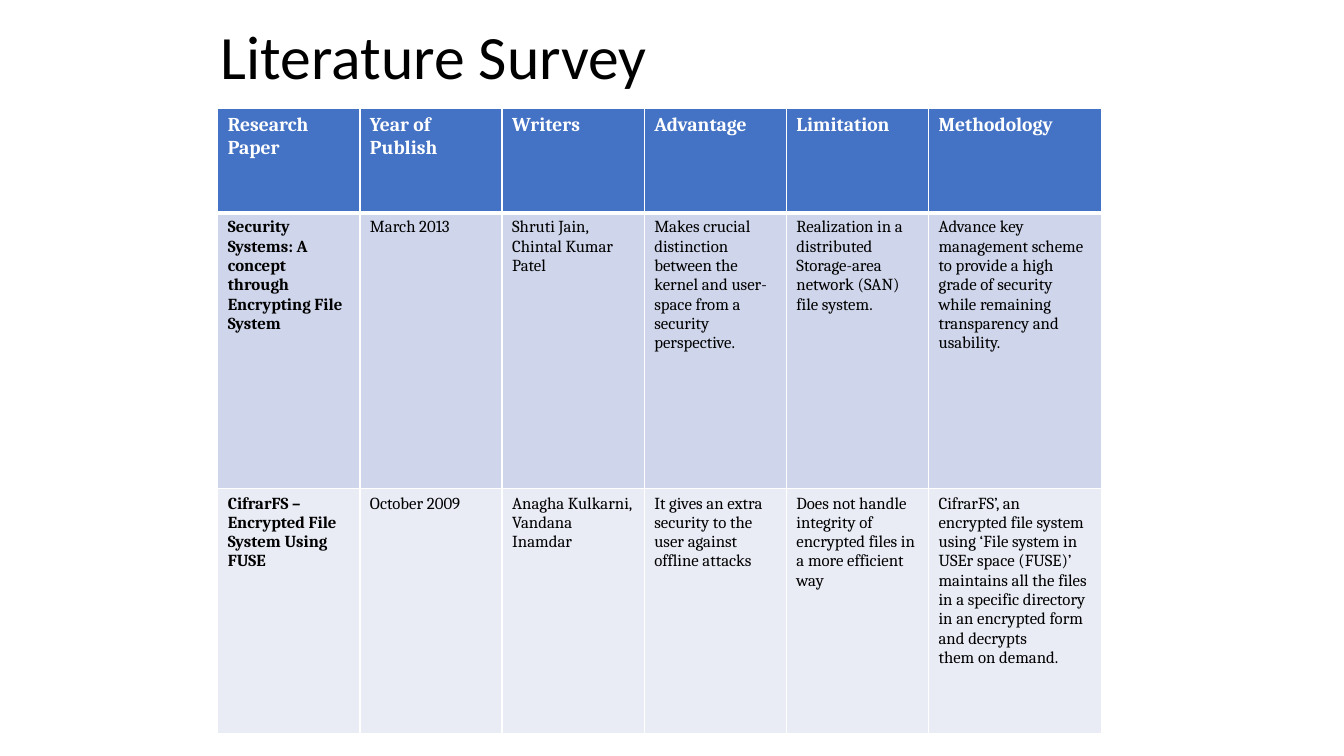
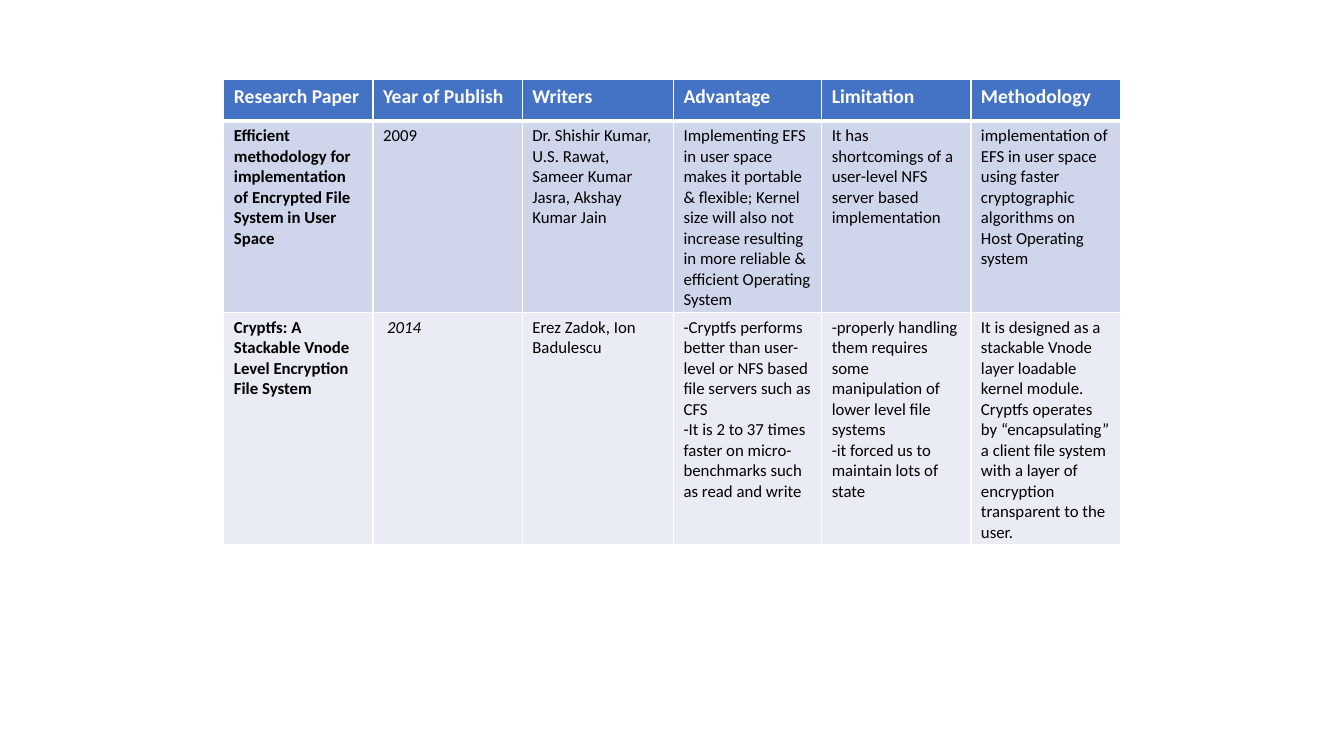
from lxml import etree
from pptx import Presentation
from pptx.dml.color import RGBColor
from pptx.enum.text import MSO_ANCHOR, MSO_AUTO_SIZE, PP_ALIGN
from pptx.oxml.ns import qn
from pptx.util import Inches, Pt

# Shared look
WHITE = RGBColor(0xFF, 0xFF, 0xFF)
BLACK = RGBColor(0x00, 0x00, 0x00)
HEADER_BLUE = RGBColor(0x44, 0x72, 0xC4)
BAND_FILLS = (RGBColor(0xCF, 0xD5, 0xEA), RGBColor(0xE9, 0xEB, 0xF5))
SANS_FONT, SERIF_FONT = "Calibri", "Cambria"

CENTER = PP_ALIGN.CENTER
TOP = MSO_ANCHOR.TOP
GROW_TO_TEXT = MSO_AUTO_SIZE.SHAPE_TO_FIT_TEXT
TITLE_ONLY, BLANK = 5, 6

HEADER_FORMAT = {"size": Pt(14), "bold": True}
PAPER_FORMAT = {"size": Pt(12), "bold": True}
BODY_FORMAT = {"size": Pt(12), "bold": False}
THIN, THICK = Pt(1), Pt(3)

# Table content: a line break starts a new paragraph
HEADINGS = ("Research Paper", "Year of Publish", "Writers",
            "Advantage", "Limitation", "Methodology")
FIRST_PAPERS = (
    ("Security Systems: A concept through Encrypting File System",
     "March 2013",
     "Shruti Jain, Chintal Kumar Patel",
     "Makes crucial distinction between the kernel and user- space "
     "from a security perspective.",
     "Realization in a distributed Storage-area network (SAN) file system.",
     "Advance key management scheme to provide a high grade of security "
     "while remaining transparency and usability."),
    ("CifrarFS – Encrypted File System Using FUSE",
     "October 2009",
     "Anagha Kulkarni, Vandana Inamdar",
     "It gives an extra security to the\nuser against offline attacks",
     "Does not handle integrity of encrypted files in a more efficient way",
     "CifrarFS’, an encrypted file system using ‘File system in USEr space "
     "(FUSE)’\nmaintains all the files in a specific directory in an "
     "encrypted form and decrypts\nthem on demand."),
)
SECOND_PAPERS = (
    ("Efficient methodology for implementation of Encrypted File System "
     "in User Space",
     "2009",
     "Dr. Shishir Kumar, U.S. Rawat, Sameer Kumar Jasra, Akshay Kumar Jain",
     "Implementing EFS in user space makes it portable & flexible; Kernel "
     "size will also not increase resulting in more reliable & efficient "
     "Operating System",
     "It has shortcomings of a user-level NFS server based implementation",
     "implementation of EFS in user space using faster cryptographic "
     "algorithms on Host Operating system"),
    ("Cryptfs: A Stackable Vnode Level Encryption File System",
     "2014",
     "Erez Zadok, Ion Badulescu",
     "-Cryptfs performs better than user-level or NFS based file servers "
     "such as CFS\n-It is 2 to 37 times faster on micro-benchmarks such as "
     "read and write",
     "-properly handling them requires some manipulation of lower level "
     "file systems\n-it forced us to maintain lots of state",
     "It is designed as a stackable Vnode layer loadable kernel module. "
     "Cryptfs operates by “encapsulating” a client file system with a layer "
     "of encryption transparent to the user."),
)


def format_text(text_frame, font_name, color, formats):
    for paragraph in text_frame.paragraphs:
        for run in paragraph.runs:
            run.font.name = font_name
            run.font.color.rgb = color
            for name, value in formats.items():
                setattr(run.font, name, value)


def set_borders(cell, widths):
    """Draw white cell borders; widths maps a side (L, R, T, B) to a width."""
    properties = cell._tc.get_or_add_tcPr()
    for side, width in widths.items():
        line = etree.SubElement(properties, qn(f"a:ln{side}"), w=str(width))
        fill = etree.SubElement(line, qn("a:solidFill"))
        etree.SubElement(fill, qn("a:srgbClr"), val=str(WHITE))


def fill_cell(cell, text, row_index, column_index, font_name):
    is_header = row_index == 0
    if is_header:
        formats, color, fill = HEADER_FORMAT, WHITE, HEADER_BLUE
    else:
        formats = PAPER_FORMAT if column_index == 0 else BODY_FORMAT
        color, fill = BLACK, BAND_FILLS[(row_index - 1) % 2]
    cell.text = text
    format_text(cell.text_frame, font_name, color, formats)
    set_borders(cell, {"L": THIN, "R": THIN,
                       "T": THICK if row_index == 1 else THIN,
                       "B": THICK if is_header else THIN})
    cell.fill.solid()
    cell.fill.fore_color.rgb = fill


def add_paper_table(slide, left, top, column_widths, row_heights, papers,
                    font_name):
    rows = (HEADINGS, *papers)
    frame = slide.shapes.add_table(
        len(rows), len(HEADINGS), Inches(left), Inches(top),
        Inches(sum(column_widths)), Inches(sum(row_heights)))
    table = frame.table
    for column, width in zip(table.columns, column_widths):
        column.width = Inches(width)
    for row, height in zip(table.rows, row_heights):
        row.height = Inches(height)
    for row_index, texts in enumerate(rows):
        for column_index, text in enumerate(texts):
            fill_cell(table.cell(row_index, column_index), text,
                      row_index, column_index, font_name)
    return table


def set_title(slide, text, left, top, width, height):
    title = slide.shapes.title
    title.left, title.top = Inches(left), Inches(top)
    title.width, title.height = Inches(width), Inches(height)
    text_frame = title.text_frame
    text_frame.text = text
    frame_formats = {"word_wrap": False, "auto_size": GROW_TO_TEXT,
                     "vertical_anchor": TOP}
    for name, value in frame_formats.items():
        setattr(text_frame, name, value)
    text_frame.paragraphs[0].alignment = CENTER
    format_text(text_frame, SANS_FONT, BLACK, {"size": Pt(44)})


def add_first_survey_slide(presentation):
    slide = presentation.slides.add_slide(
        presentation.slide_layouts[TITLE_ONLY])
    set_title(slide, "Literature Survey", 2.07, 0.13, 4.47, 0.84)
    add_paper_table(slide, 2.16, 1.08, [1.41] * 5 + [1.72],
                    [1.03, 2.74, 2.43], FIRST_PAPERS, SERIF_FONT)


def add_second_survey_slide(presentation):
    slide = presentation.slides.add_slide(presentation.slide_layouts[BLANK])
    table = add_paper_table(slide, 2.22, 0.79,
                            [1.48, 1.48, 1.5, 1.47, 1.48, 1.48],
                            [0.41, 1.9, 2.3], SECOND_PAPERS, SANS_FONT)
    # The last year is italic and slightly indented
    year = table.cell(2, 1)
    year.margin_left = Inches(0.14)
    format_text(year.text_frame, SANS_FONT, BLACK, {"italic": True})


def main():
    presentation = Presentation()
    presentation.slide_width = Inches(13.33)
    presentation.slide_height = Inches(7.5)
    add_first_survey_slide(presentation)
    add_second_survey_slide(presentation)
    presentation.save("out.pptx")


if __name__ == "__main__":
    main()
